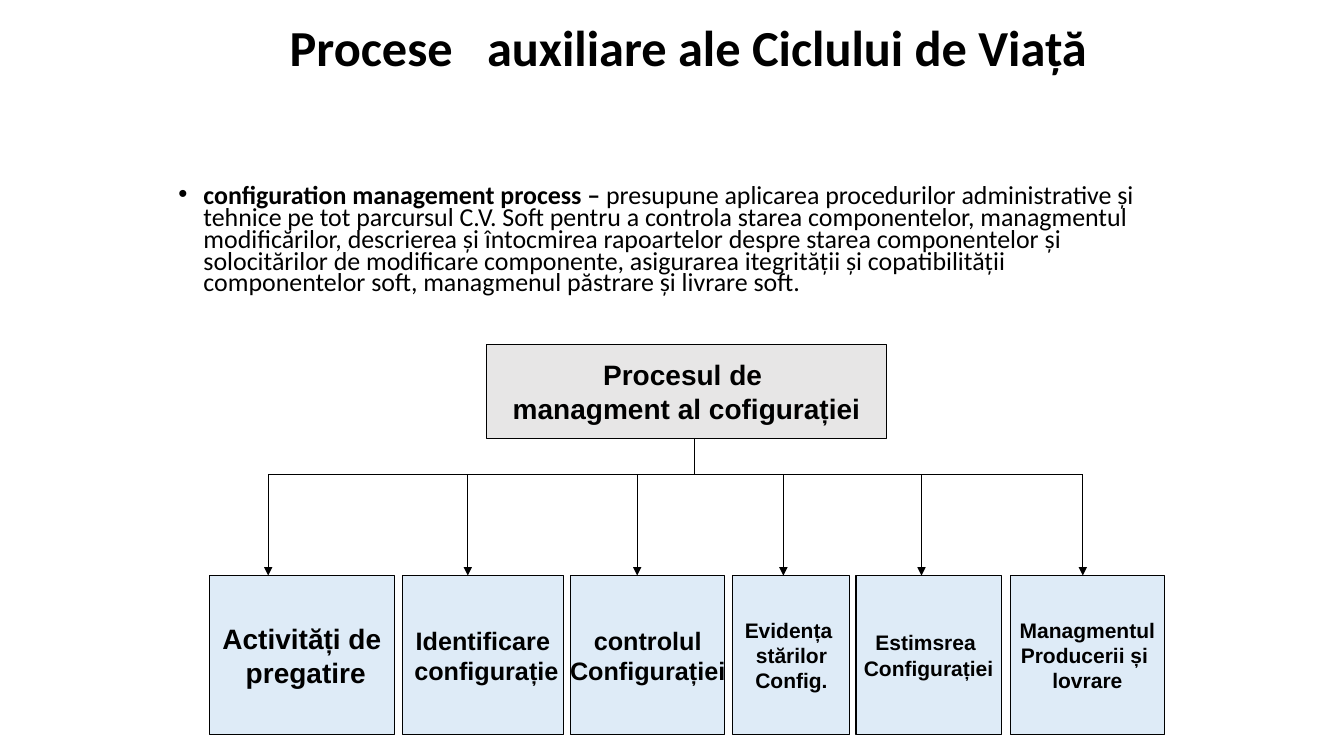
from dataclasses import dataclass

from lxml.etree import SubElement
from pptx import Presentation
from pptx.dml.color import RGBColor
from pptx.enum.shapes import MSO_CONNECTOR, MSO_SHAPE
from pptx.enum.text import MSO_ANCHOR, PP_ALIGN
from pptx.oxml.ns import qn
from pptx.util import Emu, Pt

EMU_PER_PX = 9144


@dataclass(frozen=True)
class Theme:
    ink: str = "000000"
    root_fill: str = "E7E6E6"
    activity_fill: str = "DEEBF7"
    text_font: str = "Calibri"
    box_font: str = "Arial"
    title_size: float = 36
    body_size: float = 18.5
    large_size: float = 20
    medium_size: float = 18
    small_size: float = 15
    line_width: float = 0.75


def px(length):
    return Emu(length * EMU_PER_PX)


def add_text(paragraph, text, font, size, color, bold=False, tracking=0):
    run = paragraph.add_run()
    run.text = text
    run.font.name = font
    run.font.size = Pt(size)
    run.font.bold = bold
    run.font.color.rgb = RGBColor.from_string(color)
    if tracking:
        run.font._element.set("spc", str(tracking))


class SlideBuilder:
    def __init__(self, slide, theme):
        self.slide = slide
        self.theme = theme

    def text_box(self, left, top, width, height, runs, size, spacing,
                 align=PP_ALIGN.LEFT, anchor=MSO_ANCHOR.TOP, bullet_indent=0):
        shape = self.slide.shapes.add_textbox(px(left), px(top), px(width), px(height))
        frame = shape.text_frame
        frame.word_wrap = True
        frame.vertical_anchor = anchor
        paragraph = frame.paragraphs[0]
        paragraph.alignment = align
        paragraph.line_spacing = spacing
        if bullet_indent:
            properties = paragraph._p.get_or_add_pPr()
            properties.set("marL", str(px(bullet_indent)))
            properties.set("indent", str(px(-bullet_indent)))
            SubElement(properties, qn("a:buFont")).set("typeface", self.theme.box_font)
            SubElement(properties, qn("a:buChar")).set("char", "•")
        for text, style in runs:
            add_text(paragraph, text, font=self.theme.text_font, size=size,
                     color=self.theme.ink, **style)

    def box(self, left, top, width, height, lines, size, fill):
        shape = self.slide.shapes.add_shape(
            MSO_SHAPE.RECTANGLE, px(left), px(top), px(width), px(height))
        shape.shadow.inherit = False
        shape.fill.solid()
        shape.fill.fore_color.rgb = RGBColor.from_string(fill)
        self.outline(shape)
        frame = shape.text_frame
        frame.word_wrap = False
        frame.vertical_anchor = MSO_ANCHOR.MIDDLE
        for index, text in enumerate(lines):
            paragraph = frame.add_paragraph() if index else frame.paragraphs[0]
            paragraph.alignment = PP_ALIGN.CENTER
            add_text(paragraph, text, font=self.theme.box_font, size=size,
                     color=self.theme.ink, bold=True)

    def line(self, start_x, start_y, end_x, end_y, arrow=False):
        connector = self.slide.shapes.add_connector(
            MSO_CONNECTOR.STRAIGHT, px(start_x), px(start_y), px(end_x), px(end_y))
        self.outline(connector)
        if arrow:
            line_element = connector.line._get_or_add_ln()
            SubElement(line_element, qn("a:tailEnd")).set("type", "triangle")
        SubElement(connector.element.spPr, qn("a:effectLst"))

    def outline(self, shape):
        shape.line.color.rgb = RGBColor.from_string(self.theme.ink)
        shape.line.width = Pt(self.theme.line_width)


def main():
    presentation = Presentation()
    presentation.slide_width = px(1333)
    presentation.slide_height = px(750)
    slide = presentation.slides.add_slide(presentation.slide_layouts[6])
    theme = Theme()
    builder = SlideBuilder(slide, theme)

    activities = [
        (208, 183, 266, theme.large_size, ["Activități de", " pregatire"]),
        (399, 160, 464, theme.medium_size, ["Identificare", " configurație"]),
        (566, 153, 632, theme.medium_size, ["controlul", "Configurației"]),
        (727, 116, 777, theme.small_size, ["Evidența ", "stărilor", "Config."]),
        (849, 144, 914, theme.small_size, ["Estimsrea ", "Configurației"]),
        (1002, 153, 1074, theme.small_size, ["Managmentul", "Producerii și ", "lovrare"]),
    ]
    root_top, root_height = 342, 93
    bus_y, activity_top, activity_height = 471, 571, 158

    builder.box(483, root_top, 396, root_height,
                ["Procesul de ", "managment al cofigurației"],
                theme.large_size, theme.root_fill)
    builder.line(689, root_top + root_height, 689, bus_y)
    builder.line(activities[0][2], bus_y, activities[-1][2], bus_y)
    for left, width, arrow_x, size, lines in activities:
        builder.box(left, activity_top, width, activity_height, lines, size,
                    theme.activity_fill)
        builder.line(arrow_x, bus_y, arrow_x, activity_top, arrow=True)

    builder.text_box(
        258, 17, 850, 66,
        [("Procese", {"bold": True}),
         (" ", {"bold": True, "tracking": 1630}),
         ("auxiliare ale Ciclului de Viață", {"bold": True})],
        theme.title_size, 0.9, align=PP_ALIGN.CENTER, anchor=MSO_ANCHOR.MIDDLE)
    builder.text_box(
        167, 181, 1000, 132,
        [("configuration management process – ", {"bold": True}),
         ("presupune aplicarea procedurilor administrative și tehnice pe tot parcursul "
          "C.V. Soft pentru a controla starea componentelor, managmentul modificărilor, "
          "descrierea și întocmirea rapoartelor despre starea componentelor și "
          "solocitărilor de modificare componente, asigurarea itegrității și "
          "copatibilității componentelor soft, managmenul păstrare și livrare soft.", {})],
        theme.body_size, 0.7, bullet_indent=25)

    presentation.save("out.pptx")


if __name__ == "__main__":
    main()
